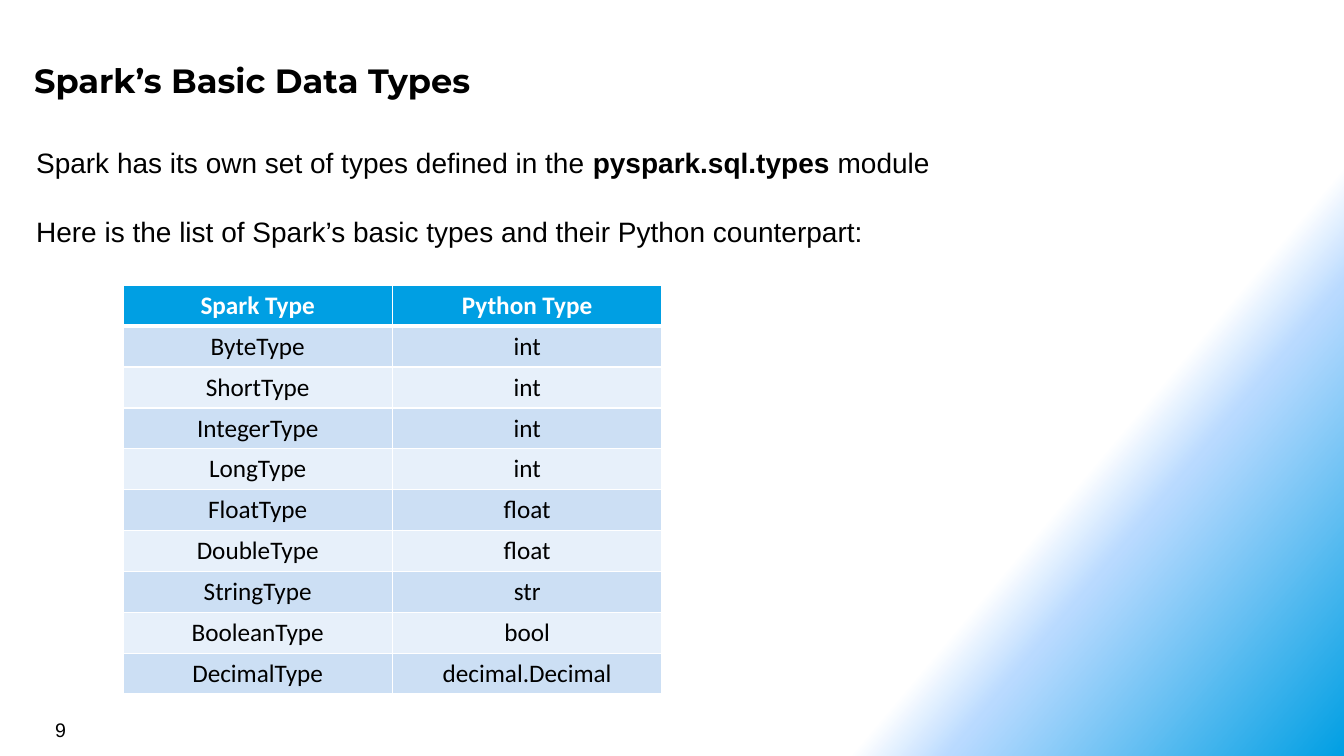
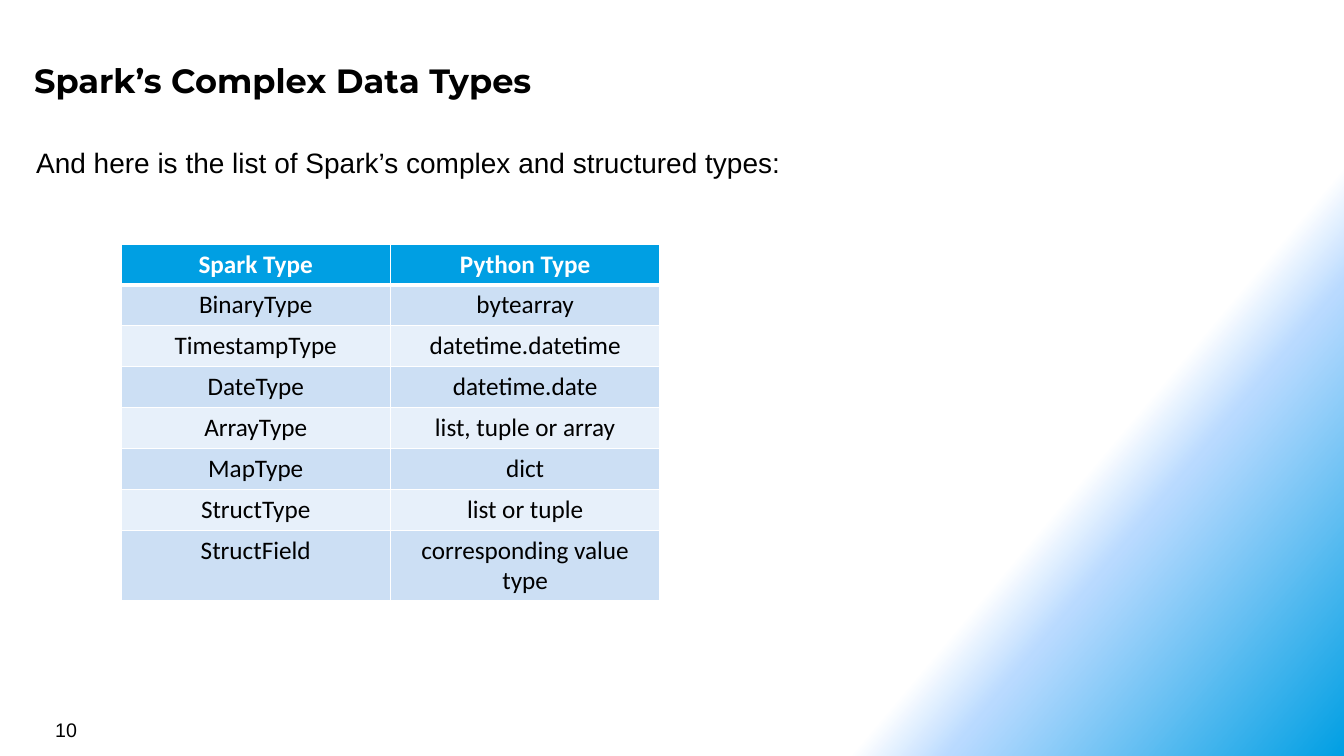
from copy import deepcopy

from lxml import etree
from pptx import Presentation
from pptx.dml.color import RGBColor
from pptx.enum.text import MSO_ANCHOR, MSO_AUTO_SIZE, PP_ALIGN
from pptx.oxml.ns import qn
from pptx.util import Cm, Pt

LEFT, CENTER = PP_ALIGN.LEFT, PP_ALIGN.CENTER
TOP = MSO_ANCHOR.TOP
NO_AUTOFIT = MSO_AUTO_SIZE.NONE
TITLE_ONLY = 5

COLORS = {
    "text": "000000",
    "white": "FFFFFF",
    "header": "009FE3",
    "sky": "B9DAFF",
    "band_dark": "CCDFF4",
    "band_light": "E7F0FA",
}
GRADIENT = [(0.75, "white"), (0.8, "sky"), (1, "header")]
MARGIN = Cm(0.66)
COLUMN_WIDTH, ROW_HEIGHT = Cm(6.79), Cm(1.03)
THIN, THICK = Pt(1), Pt(3)
HEADINGS = ("Spark Type", "Python Type")

BASIC_TYPES = [
    ("ByteType", "int"),
    ("ShortType", "int"),
    ("IntegerType", "int"),
    ("LongType", "int"),
    ("FloatType", "float"),
    ("DoubleType", "float"),
    ("StringType", "str"),
    ("BooleanType", "bool"),
    ("DecimalType", "decimal.Decimal"),
]
COMPLEX_TYPES = [
    ("BinaryType", "bytearray"),
    ("TimestampType", "datetime.datetime"),
    ("DateType", "datetime.date"),
    ("ArrayType", "list, tuple or array"),
    ("MapType", "dict"),
    ("StructType", "list or tuple"),
    ("StructField", "corresponding value type"),
]


def rgb(name):
    return RGBColor.from_string(COLORS[name])


def set_font(para, name, size, color="text", bold=False):
    font = para.font
    font.name, font.size, font.bold = name, Pt(size), bold
    font.color.rgb = rgb(color)


def set_background(layout):
    """Fill the shared layout with the diagonal gradient."""
    fill = layout.background.fill
    fill.gradient()
    fill.gradient_angle = 320
    stop_list = layout.element.xpath(".//p:bg//a:gsLst")[0]
    stop_list.append(deepcopy(stop_list[-1]))
    for stop, (position, color) in zip(fill.gradient_stops, GRADIENT):
        stop.position = position
        stop.color.rgb = rgb(color)


def set_title(page, text):
    title = page.shapes.title
    title.left, title.top = MARGIN, Cm(1.3)
    title.width, title.height = Cm(31.14), Cm(1.4)
    frame = title.text_frame
    frame.text = text
    frame.auto_size, frame.vertical_anchor = NO_AUTOFIT, TOP
    frame.margin_left = frame.margin_right = Cm(0.2)
    frame.margin_top = frame.margin_bottom = Cm(0.2)
    para = frame.paragraphs[0]
    para.alignment = LEFT
    set_font(para, "Montserrat", 24, bold=True)


def add_text(page, left, top, width, height, paragraphs, size):
    """Add a text box; each paragraph is a list of (text, bold) spans."""
    box = page.shapes.add_textbox(left, top, width, height)
    frame = box.text_frame
    frame.word_wrap = True
    for index, spans in enumerate(paragraphs):
        para = frame.add_paragraph() if index else frame.paragraphs[0]
        set_font(para, "Arial", size)
        if index:
            para.space_before = Pt(25.6)
        for text, bold in spans:
            span = para.add_run()
            span.text = text
            if bold:
                span.font.bold = True


def set_borders(cell, top, bottom):
    """Draw white cell borders; they must come before the fill."""
    properties = cell._tc.get_or_add_tcPr()
    widths = {"lnL": THIN, "lnR": THIN, "lnT": top, "lnB": bottom}
    for index, (tag, width) in enumerate(widths.items()):
        line = etree.Element(qn(f"a:{tag}"), w=str(int(width)))
        solid = etree.SubElement(line, qn("a:solidFill"))
        etree.SubElement(solid, qn("a:srgbClr"), val=COLORS["white"])
        properties.insert(index, line)


def add_type_table(page, left, top, types):
    rows = [HEADINGS, *types]
    frame = page.shapes.add_table(
        len(rows), len(HEADINGS), left, top,
        COLUMN_WIDTH * len(HEADINGS), ROW_HEIGHT * len(rows))
    table = frame.table
    table.horz_banding = False
    for row_index, row in enumerate(rows):
        is_header = row_index == 0
        band = "band_dark" if row_index % 2 else "band_light"
        for column_index, text in enumerate(row):
            cell = table.cell(row_index, column_index)
            cell.text = text
            cell.fill.solid()
            cell.fill.fore_color.rgb = rgb("header" if is_header else band)
            para = cell.text_frame.paragraphs[0]
            para.alignment = CENTER
            set_font(para, "Calibri", 18,
                     "white" if is_header else "text", is_header)
            set_borders(cell, THICK if row_index == 1 else THIN,
                        THICK if is_header else THIN)


def add_page(deck, number, title, paragraphs, table_left, table_top, types):
    page = deck.slides.add_slide(deck.slide_layouts[TITLE_ONLY])
    set_title(page, title)
    # Page number
    add_text(page, Cm(1.14), Cm(17.96), Cm(7.9), Cm(0.84),
             [[(str(number), False)]], 14)
    # Introduction and type table
    add_text(page, MARGIN, Cm(3.53), Cm(27.48), Cm(1.12) * len(paragraphs),
             paragraphs, 20)
    add_type_table(page, table_left, table_top, types)


def main():
    deck = Presentation()
    deck.slide_width, deck.slide_height = Cm(33.87), Cm(19.05)
    set_background(deck.slide_layouts[TITLE_ONLY])

    add_page(deck, 9, "Spark’s Basic Data Types", [
        [("Spark has its own set of types defined in the ", False),
         ("pyspark.sql.types", True), (" module", False)],
        [("Here is the list of Spark’s basic types and their Python "
          "counterpart:", False)],
    ], Cm(3.1), Cm(7.19), BASIC_TYPES)

    add_page(deck, 10, "Spark’s Complex Data Types", [
        [("And here is the list of Spark’s complex and structured types:",
          False)],
    ], Cm(3.05), Cm(6.15), COMPLEX_TYPES)

    deck.save("out.pptx")


if __name__ == "__main__":
    main()
